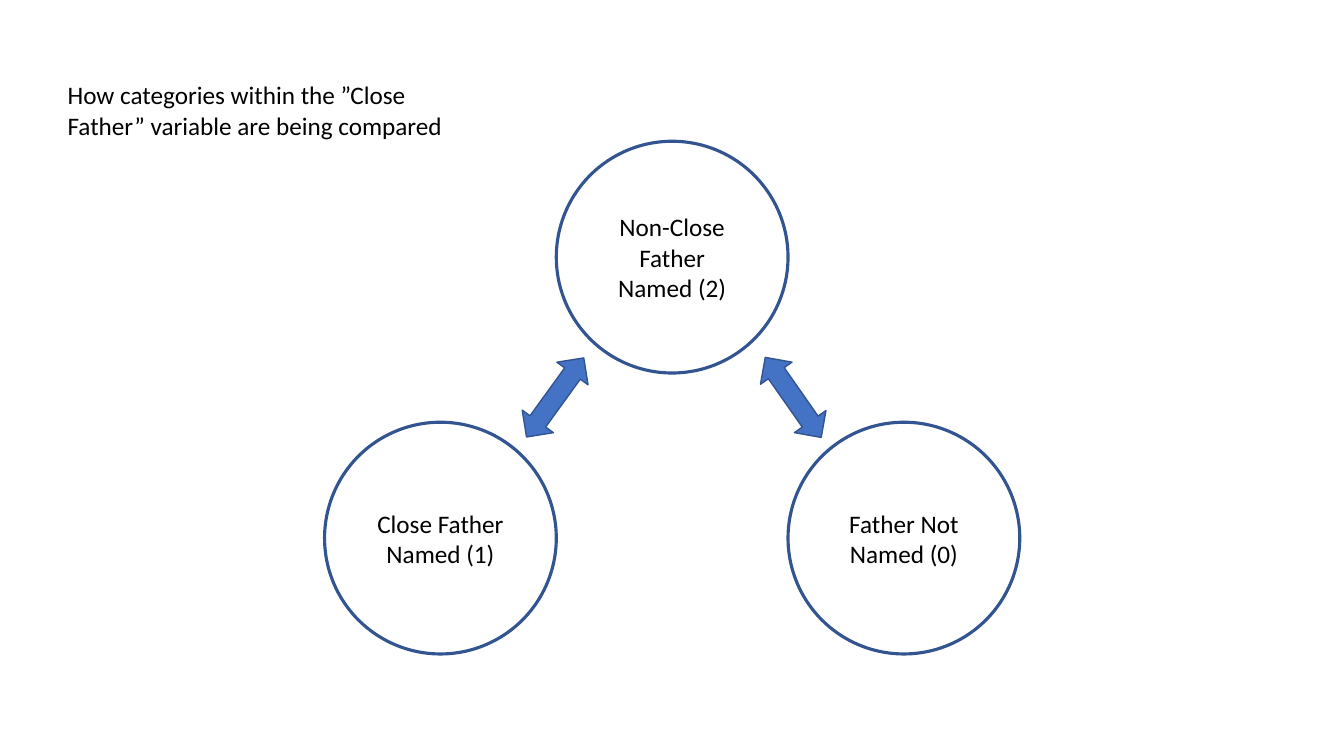
from dataclasses import dataclass

from pptx import Presentation
from pptx.dml.color import RGBColor as Rgb
from pptx.enum.shapes import MSO_SHAPE as Shape
from pptx.enum.text import MSO_ANCHOR as Anchor, MSO_AUTO_SIZE as Fit, PP_ALIGN as Align
from pptx.util import Cm, Pt


@dataclass(frozen=True)
class Theme:
    font: str = "Calibri"
    size: float = 18
    ink: Rgb = Rgb(0x00, 0x00, 0x00)
    edge: Rgb = Rgb(0x32, 0x54, 0x91)
    fill: Rgb = Rgb(0x44, 0x72, 0xC4)
    ring: float = 2.25
    thin: float = 1


THEME = Theme()
SIZE = 5.84  # circle diameter; neighbours sit one diameter apart
LEFT, HIGH, LOW = 8.18, 3.56, 10.64
MID = LEFT + 1.5 * SIZE  # axis of symmetry

# Label, column, top, label height
NODES = [
    ("Close Father Named (1)", 0, LOW, 1.8),
    ("Non-Close Father Named (2)", 1, HIGH, 2.57),
    ("Father Not Named (0)", 2, LOW, 1.8),
]
# Offset of the centre from the axis, rotation
ARROWS = [(-2.95, 125.9), (3.05, 55)]


def write(frame, text, align):
    frame.word_wrap = True
    frame.auto_size = Fit.NONE
    par = frame.paragraphs[0]
    par.alignment = align
    run = par.add_run()
    run.text = text
    font = run.font
    font.name, font.size = THEME.font, Pt(THEME.size)
    font.color.rgb = THEME.ink


def outline(shape, width):
    shape.shadow.inherit = False
    shape.line.color.rgb = THEME.edge
    shape.line.width = Pt(width)


def add_title(slide, text):
    title = slide.shapes.title
    title.left, title.top = Cm(1.45), Cm(1.88)
    title.width, title.height = Cm(10.08), Cm(1.8)
    title.text_frame.vertical_anchor = Anchor.TOP
    write(title.text_frame, text, Align.LEFT)


def add_node(slide, text, col, top, height):
    group = slide.shapes.add_group_shape().shapes
    left = LEFT + col * SIZE
    ring = group.add_shape(Shape.OVAL, Cm(left), Cm(top), Cm(SIZE), Cm(SIZE))
    ring.fill.background()
    outline(ring, THEME.ring)

    # Label centred in its circle
    width = 3.94
    label = group.add_textbox(Cm(left + (SIZE - width) / 2),
                              Cm(top + (SIZE - height) / 2),
                              Cm(width), Cm(height))
    label.text_frame.vertical_anchor = Anchor.MIDDLE
    write(label.text_frame, text, Align.CENTER)


def add_arrow(slide, shift, turn):
    width, height = 2.46, 0.97
    arrow = slide.shapes.add_shape(Shape.LEFT_RIGHT_ARROW,
                                   Cm(MID + shift - width / 2), Cm(9.53),
                                   Cm(width), Cm(height))
    arrow.rotation = turn
    arrow.fill.solid()
    arrow.fill.fore_color.rgb = THEME.fill
    outline(arrow, THEME.thin)


def main():
    deck = Presentation()
    deck.slide_width, deck.slide_height = Cm(33.87), Cm(19.05)
    slide = deck.slides.add_slide(deck.slide_layouts.get_by_name("Title Only"))

    # Categories and the comparisons between them
    for node in NODES:
        add_node(slide, *node)
    for arrow in ARROWS:
        add_arrow(slide, *arrow)

    add_title(slide, "How categories within the ”Close Father” variable are being compared")
    deck.save("out.pptx")


if __name__ == "__main__":
    main()
